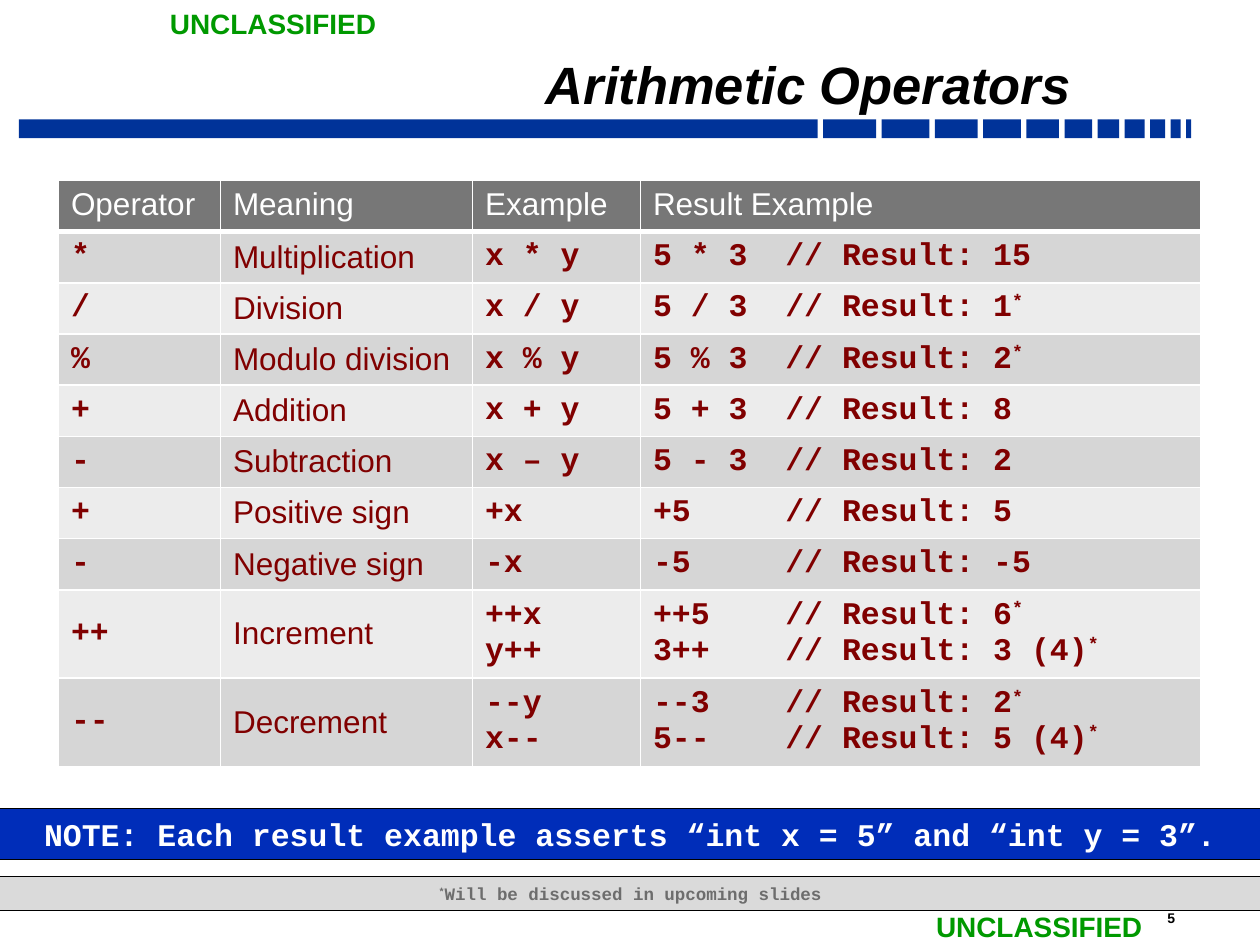
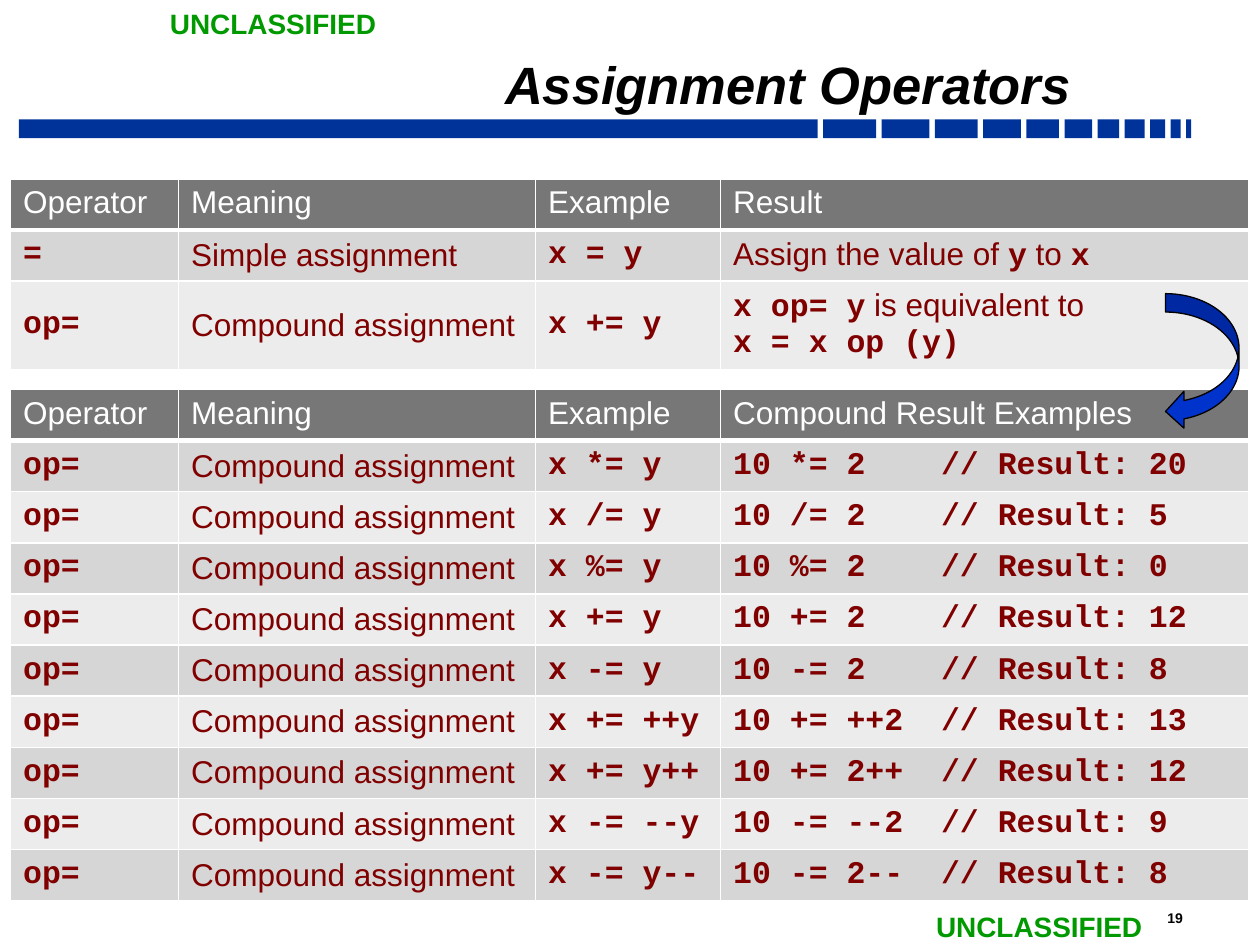
from dataclasses import dataclass
from typing import Any

from lxml import etree
from pptx import Presentation
from pptx import util as u
from pptx.dml.color import RGBColor
from pptx.enum import shapes, text
from pptx.oxml import ns

Pt = u.Pt
LEFT, MID, RIGHT = text.PP_ALIGN.LEFT, text.PP_ALIGN.CENTER, text.PP_ALIGN.RIGHT


@dataclass(frozen=True)
class Theme:
    """Colours, fonts and type sizes of the deck."""
    ink: str = "000000"
    white: str = "FFFFFF"
    band: str = "003399"
    mark: str = "009900"
    code: str = "800000"
    head: str = "777777"
    odd: str = "D6D6D6"
    even: str = "ECECEC"
    note: str = "002DB9"
    foot: str = "DADADA"
    hint: str = "6D6D6D"
    arrow: str = "0033CC"
    sans: str = "Arial"
    mono: str = "Courier New"
    title: float = 30
    body: float = 18
    label: float = 16
    small: float = 10
    page: float = 8


@dataclass
class Deck:
    """Holds the style and the slide being built."""
    prs: Any
    look: Theme
    slide: Any = None

    def font(self, run, face, size, color, bold=False, slant=False):
        """Format one run."""
        font = run.font
        font.name, font.size = face, Pt(size)
        font.bold, font.italic = bold, slant
        font.color.rgb = RGBColor.from_string(color)

    def runs(self, para, line, size, color):
        """Fill a paragraph: | toggles sans text, ^ starts a superscript."""
        for n, part in enumerate(line.split("|")):
            face = self.look.sans if n % 2 else self.look.mono
            for k, piece in enumerate(part.split("^")):
                if not piece:
                    continue
                run = para.add_run()
                run.text = piece
                self.font(run, face, size, color, bold=not n % 2)
                if k:
                    run.font._element.set("baseline", "30000")

    def label(self, words, box, size, color, align=LEFT, wrap=True):
        """Add a bold sans text box and return it."""
        item = self.slide.shapes.add_textbox(*map(Pt, box))
        frame = item.text_frame
        frame.word_wrap = wrap
        frame.text = words
        para = frame.paragraphs[0]
        para.alignment = align
        self.font(para.runs[0], self.look.sans, size, color, bold=True)
        return item

    def shape(self, kind, box, fill, line=None):
        """Add a flat preset shape."""
        item = self.slide.shapes.add_shape(kind, *map(Pt, box))
        item.shadow.inherit = False
        item.fill.solid()
        item.fill.fore_color.rgb = RGBColor.from_string(fill)
        if line:
            item.line.color.rgb = RGBColor.from_string(line)
            item.line.width = Pt(0.75)
        else:
            item.line.fill.background()
        return item

    def page(self, title, num):
        """Start a slide with its title, band, markings and number."""
        look = self.look
        self.slide = self.prs.slides.add_slide(self.prs.slide_layouts[6])
        left, gap = 10.8, 3.1
        for wide in (456.5, 30.3, 27.3, 24.5, 21.6, 18.7,
                     15.8, 12.3, 11.5, 8.6, 5.8, 2.9):
            self.shape(shapes.MSO_SHAPE.RECTANGLE, (left, 68.2, wide, 10.8), look.band)
            left += wide + gap
        self.label(num, (660, 516, 39, 16.6), look.page, look.ink)
        for spot in ((90, 0), (527.8, 516)):
            self.label("UNCLASSIFIED", (*spot, 134, 26.6), look.label, look.mark, wrap=False)
        head = self.label(title, (120, 25.2, 498.5, 42.5), look.title, look.ink, RIGHT)
        frame = head.text_frame
        frame.vertical_anchor = text.MSO_ANCHOR.BOTTOM
        frame.margin_left = frame.margin_right = Pt(6.5)
        frame.margin_top = frame.margin_bottom = Pt(2.9)
        frame.paragraphs[0].line_spacing = 0.7
        frame.paragraphs[0].runs[0].font.italic = True

    def strip(self, line, top, high, size, fill, color):
        """Add a full-width strip with centred code text."""
        item = self.shape(shapes.MSO_SHAPE.RECTANGLE, (-24, top, 768, high), fill, self.look.ink)
        frame = item.text_frame
        frame.word_wrap = True
        frame.vertical_anchor = text.MSO_ANCHOR.TOP
        para = frame.paragraphs[0]
        para.alignment = MID
        self.runs(para, line, size, color)

    def edge(self, cell, base):
        """Draw white borders, the lower one as wide as asked."""
        props = cell._tc.get_or_add_tcPr()
        for n, (side, wide) in enumerate((("L", 1), ("R", 1), ("T", 1), ("B", base))):
            line = etree.Element(ns.qn(f"a:ln{side}"), w=str(Pt(wide)))
            fill = etree.SubElement(line, ns.qn("a:solidFill"))
            etree.SubElement(fill, ns.qn("a:srgbClr"), val=self.look.white)
            props.insert(n, line)

    def tab(self, para, stop):
        """Set one left tab stop."""
        props = para._p.get_or_add_pPr()
        tabs = etree.SubElement(props, ns.qn("a:tabLst"))
        etree.SubElement(tabs, ns.qn("a:tab"), pos=str(Pt(stop)), algn="l")

    def table(self, spot, cols, rows, stop=0):
        """Add a banded table; the first row is the heading."""
        look, high = self.look, 29.23
        box = (*spot, sum(cols), high * len(rows))
        grid = self.slide.shapes.add_table(len(rows), len(cols), *map(Pt, box)).table
        for col, wide in zip(grid.columns, cols):
            col.width = Pt(wide)
        for r, row in enumerate(rows):
            grid.rows[r].height = Pt(48.2 if "\n" in row[-1] else high)
            fill = (look.odd if r % 2 else look.even) if r else look.head
            for c, words in enumerate(row):
                cell = grid.cell(r, c)
                cell.fill.solid()
                cell.fill.fore_color.rgb = RGBColor.from_string(fill)
                self.edge(cell, 1 if r else 3)
                if r:
                    cell.vertical_anchor = text.MSO_ANCHOR.MIDDLE
                frame = cell.text_frame
                for n, line in enumerate(words.split("\n")):
                    para = frame.add_paragraph() if n else frame.paragraphs[0]
                    if "\t" in line:
                        self.tab(para, stop)
                    sans = "" if r and c != 1 else "|"
                    self.runs(para, sans + line, look.body, look.code if r else look.white)

    def arrow(self, box):
        """Add the curved arrow that leads down to the examples."""
        item = self.shape(shapes.MSO_SHAPE.CURVED_RIGHT_ARROW, box, self.look.arrow, self.look.ink)
        item.rotation = 180
        item._element.spPr.find(ns.qn("a:xfrm")).set("flipV", "1")


def basic(deck):
    """Build the arithmetic slide."""
    look = deck.look
    deck.page("Arithmetic Operators", "5")
    rows = [
        ("Operator", "Meaning", "Example", "Result Example"),
        ("*", "Multiplication", "x * y", "5 * 3\t// Result: 15"),
        ("/", "Division", "x / y", "5 / 3\t// Result: 1^*"),
        ("%", "Modulo division", "x % y", "5 % 3\t// Result: 2^*"),
        ("+", "Addition", "x + y", "5 + 3\t// Result: 8"),
        ("-", "Subtraction", "x – y", "5 - 3\t// Result: 2"),
        ("+", "Positive sign", "+x", "+5\t// Result: 5"),
        ("-", "Negative sign", "-x", "-5\t// Result: -5"),
        ("++", "Increment", "++x\ny++",
         "++5\t// Result: 6^*\n3++\t// Result: 3 (4)^*"),
        ("--", "Decrement", "--y\nx--",
         "--3\t// Result: 2^*\n5--\t// Result: 5 (4)^*"),
    ]
    deck.table((33.4, 103.2), (92.6, 144, 96, 320.4), rows, 75.6)
    deck.strip("NOTE: Each result example asserts “int x = 5” and “int y = 3”.",
               462, 29.1, look.body, look.note, look.white)
    deck.strip("^*|^|Will be discussed in upcoming slides",
               501, 19.4, look.small, look.foot, look.hint)


def assign(deck):
    """Build the assignment slide."""
    deck.page("Assignment Operators", "19")
    heads = ("Operator", "Meaning", "Example")
    kind = ("op=", "Compound assignment")
    cols = (96, 204, 105.8, 301.8)
    deck.table((6, 102.2), cols, [
        (*heads, "Result"),
        ("=", "Simple assignment", "x = y", "|Assign the value of |y| to |x"),
        (*kind, "x += y", "x op= y| is equivalent to\nx = x op (y)"),
    ])
    cases = (("x *= y", 20), ("x /= y", 5), ("x %= y", 0),
             ("x += y", 12), ("x -= y", 8), ("x += ++y", 13),
             ("x += y++", 12), ("x -= --y", 9), ("x -= y--", 8))
    rows = [(*heads, "Compound Result Examples")]
    for case, value in cases:
        sample = case.replace("x", "10").replace("y", "2")
        rows.append((*kind, case, f"{sample}\t// Result: {value}"))
    deck.table((6, 222.5), cols, rows, 118.8)
    deck.arrow((666, 167.8, 42, 77.8))


def main():
    """Build and save the deck."""
    prs = Presentation()
    prs.slide_width, prs.slide_height = Pt(720), Pt(540)
    deck = Deck(prs, Theme())
    basic(deck)
    assign(deck)
    prs.save("out.pptx")


main()
